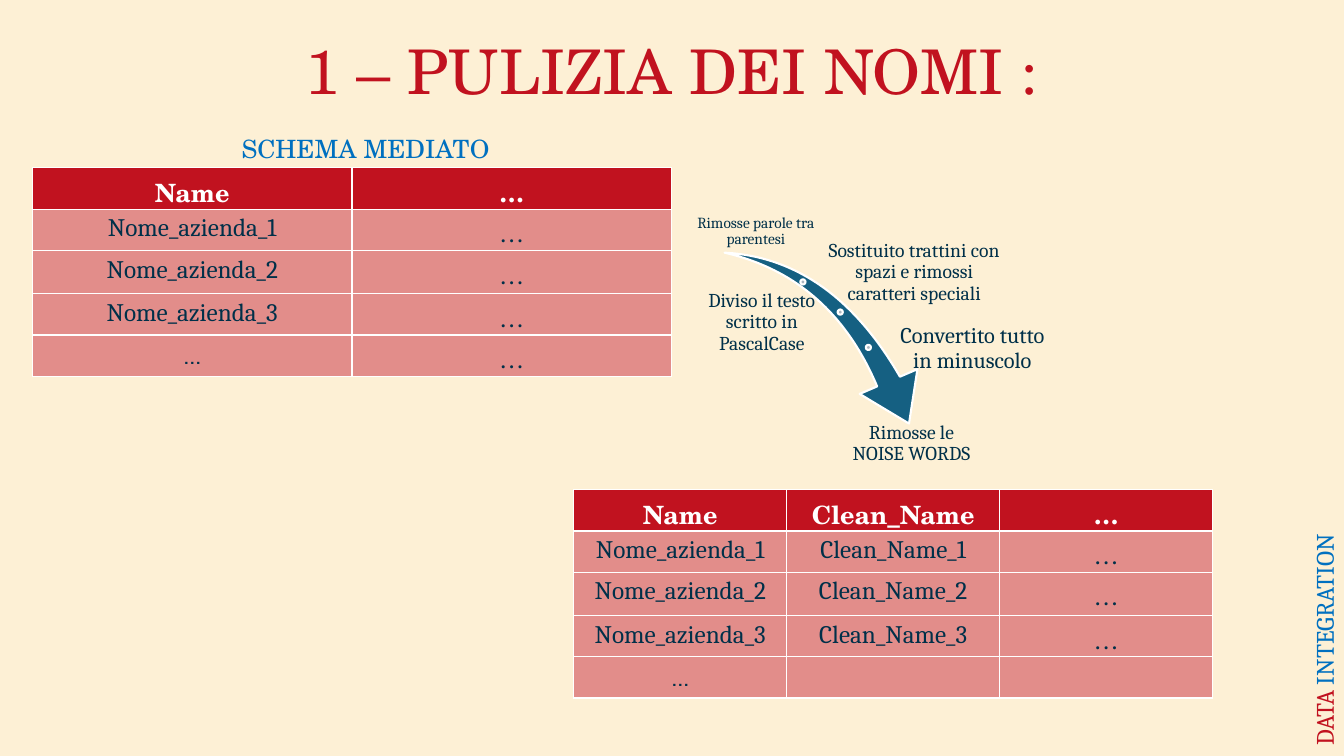
from lxml.etree import SubElement
from pptx import Presentation
from pptx.dml.color import RGBColor
from pptx.enum.shapes import MSO_SHAPE
from pptx.enum.text import MSO_ANCHOR, MSO_AUTO_SIZE, PP_ALIGN
from pptx.oxml.ns import qn
from pptx.util import Cm, Pt

COLORS = {"cream": "FDF0D5", "red": "C1121F", "rose": "D45962", "blue": "0070C0",
          "navy": "003049", "teal": "156082", "gray": "ACB7C1", "white": "FFFFFF"}
SERIF, SCHOOL, SANS = "Cambria", "TeX Gyre Schola", "Cabin"


def style_font(font, name, size, color, bold=False):
    font.name, font.size, font.bold = name, Pt(size), bold
    font.color.rgb = RGBColor.from_string(COLORS[color])


def paint(shape, fill):
    shape.shadow.inherit = False
    shape.fill.solid()
    shape.fill.fore_color.rgb = RGBColor.from_string(COLORS[fill])
    shape.line.color.rgb = RGBColor.from_string(COLORS["white"])
    shape.line.width = Pt(1.5)


presentation = Presentation()
presentation.slide_width, presentation.slide_height = Cm(33.87), Cm(19.05)
slide = presentation.slides.add_slide(presentation.slide_layouts[5])
slide.background.fill.solid()
slide.background.fill.fore_color.rgb = RGBColor.from_string(COLORS["cream"])

# Title
title = slide.shapes.title
title.left, title.top, title.width, title.height = Cm(0), Cm(0.7), Cm(33.87), Cm(2.13)
title.text_frame.text = "1 – PULIZIA DEI NOMI :"
title.text_frame.auto_size = MSO_AUTO_SIZE.NONE
title.text_frame.vertical_anchor = MSO_ANCHOR.TOP
title.text_frame.paragraphs[0].alignment = PP_ALIGN.CENTER
style_font(title.text_frame.paragraphs[0].font, SCHOOL, 44, "red")

# Course name along the right edge
course = slide.shapes.add_textbox(Cm(30.1), Cm(15.27), Cm(6.53), Cm(1.02))
course.rotation = 270
course.text_frame.word_wrap = True
for text, color in [("DATA ", "red"), ("INTEGRATION", "blue")]:
    run = course.text_frame.paragraphs[0].add_run()
    run.text = text
    style_font(run.font, SERIF, 18, color)

# Caption of the first table
caption = slide.shapes.add_textbox(Cm(5.84), Cm(3.23), Cm(7.57), Cm(1.02))
caption.text_frame.word_wrap = True
caption.text_frame.text = "SCHEMA MEDIATO"
style_font(caption.text_frame.paragraphs[0].font, SCHOOL, 18, "blue")

# Tables before and after cleaning
company_names = [f"Nome_azienda_{number}" for number in (1, 2, 3)]
clean_names = [f"Clean_Name_{number}" for number in (1, 2, 3)]
TABLES = [
    (0.82, 4.23, [["Name", *company_names, "…"], ["…"] * 5]),
    (14.46, 12.34, [["Name", *company_names, "…"], ["Clean_Name", *clean_names, ""],
                    ["…"] * 4 + [""]]),
]
ROW_HEIGHTS = [1.04, 1.04, 1.09, 1.04, 1.04]
TABLE_WIDTH = 16.1
for left, top, columns in TABLES:
    table = slide.shapes.add_table(5, len(columns), Cm(left), Cm(top),
                                   Cm(TABLE_WIDTH), Cm(sum(ROW_HEIGHTS))).table
    for row, height in zip(table.rows, ROW_HEIGHTS):
        row.height = Cm(height)
    for column_index, texts in enumerate(columns):
        table.columns[column_index].width = Cm(TABLE_WIDTH / len(columns))
        for row_index, text in enumerate(texts):
            cell = table.cell(row_index, column_index)
            header = row_index == 0
            cell.text = text
            cell.fill.solid()
            cell.fill.fore_color.rgb = RGBColor.from_string(COLORS["red" if header else "rose"])
            if not header:
                fill_color = cell.fill._xPr.find(".//" + qn("a:srgbClr"))
                SubElement(fill_color, qn("a:alpha"), val="65000")
            if header:
                name = SCHOOL
            elif text == "…":
                name = SCHOOL if column_index else SANS
            else:
                name = SERIF
            paragraph = cell.text_frame.paragraphs[0]
            paragraph.alignment = PP_ALIGN.CENTER
            style_font(paragraph.font, name, 18, "white" if header else "navy", header)

# Arrow with its three stops
arrow = slide.shapes.add_shape(MSO_SHAPE.SWOOSH_ARROW, Cm(18.14), Cm(6.53), Cm(5.46), Cm(3.81))
arrow.rotation = 73.3
arrow.adjustments[0], arrow.adjustments[1] = 0.163, 0.314
paint(arrow, "teal")
for left, top in [(20.17, 7.04), (21.11, 7.8), (21.82, 8.69)]:
    stop = slide.shapes.add_shape(MSO_SHAPE.OVAL, Cm(left), Cm(top), Cm(0.13), Cm(0.13))
    paint(stop, "gray")

# Cleaning steps around the arrow
STEPS = [
    ("Rimosse parole tra parentesi", 17.3, 5.28, 3.5, 1.02, 11, MSO_ANCHOR.BOTTOM),
    ("Sostituito trattini con spazi e rimossi caratteri speciali",
     20.68, 6.12, 4.72, 1.5, 14, MSO_ANCHOR.MIDDLE),
    ("Diviso il testo scritto in PascalCase", 17.37, 7.62, 3.66, 1.02, 14, MSO_ANCHOR.MIDDLE),
    ("Convertito tutto in minuscolo", 22.5, 8.28, 4.01, 1.02, 16, MSO_ANCHOR.MIDDLE),
    ("Rimosse le NOISE WORDS", 21.23, 10.59, 3.48, 1.02, 14, MSO_ANCHOR.TOP),
]
for text, left, top, width, height, size, anchor in STEPS:
    frame = slide.shapes.add_textbox(Cm(left), Cm(top), Cm(width), Cm(height)).text_frame
    frame.word_wrap = True
    frame.vertical_anchor = anchor
    frame.margin_left = frame.margin_right = frame.margin_top = frame.margin_bottom = Cm(0.05)
    frame.text = text
    paragraph = frame.paragraphs[0]
    paragraph.alignment = PP_ALIGN.CENTER
    paragraph.line_spacing = 0.9
    style_font(paragraph.font, SERIF, size, "navy")

presentation.save("out.pptx")
